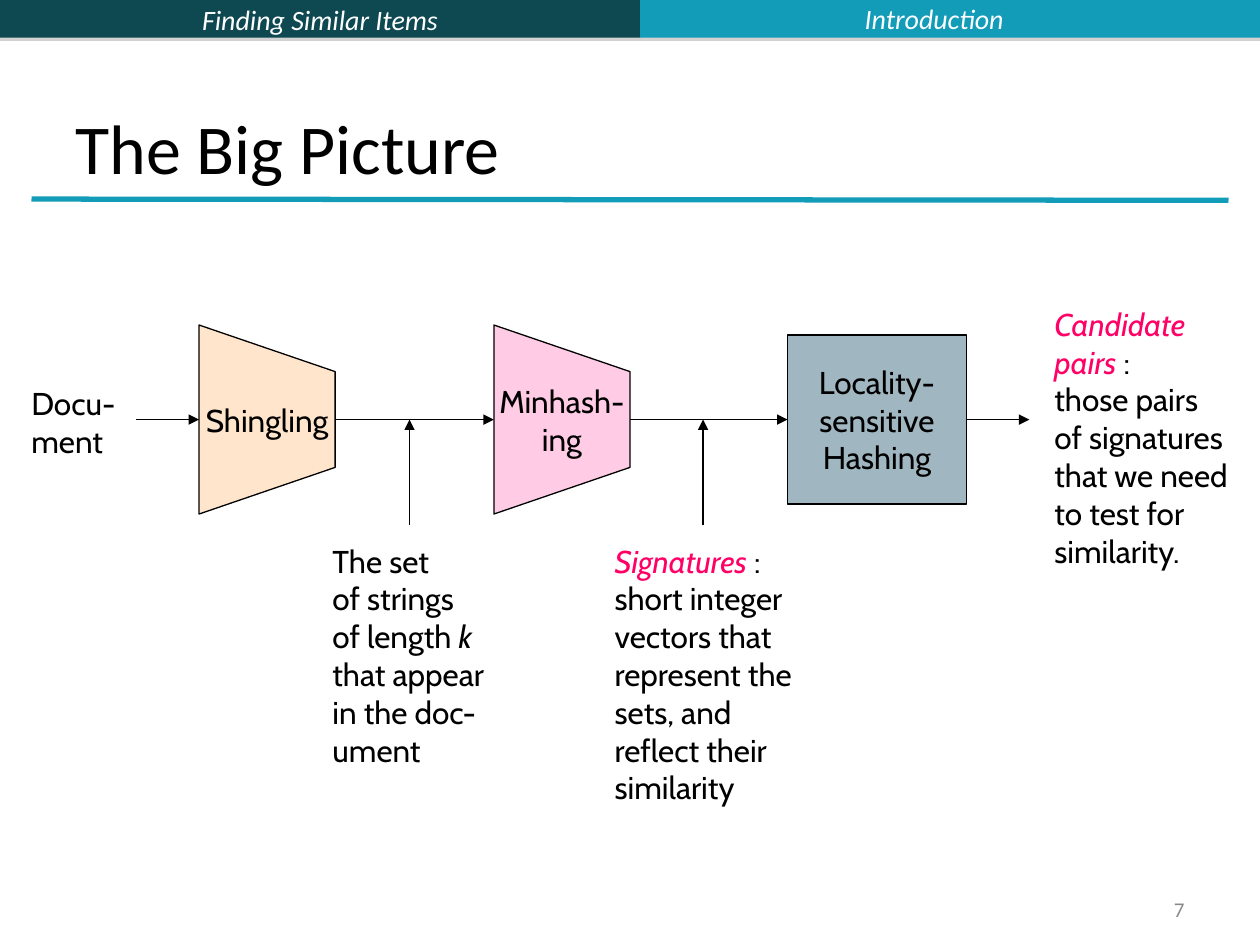
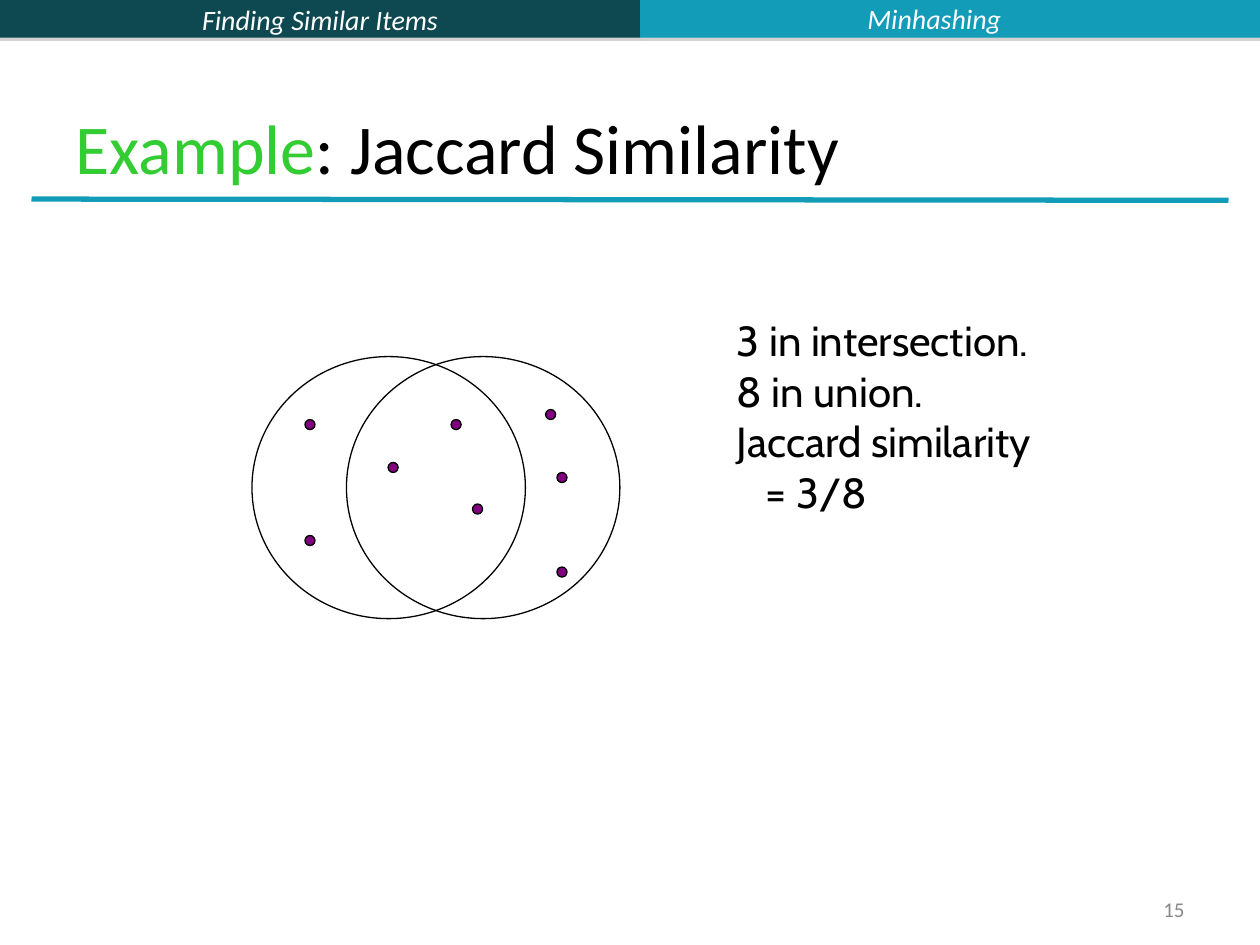
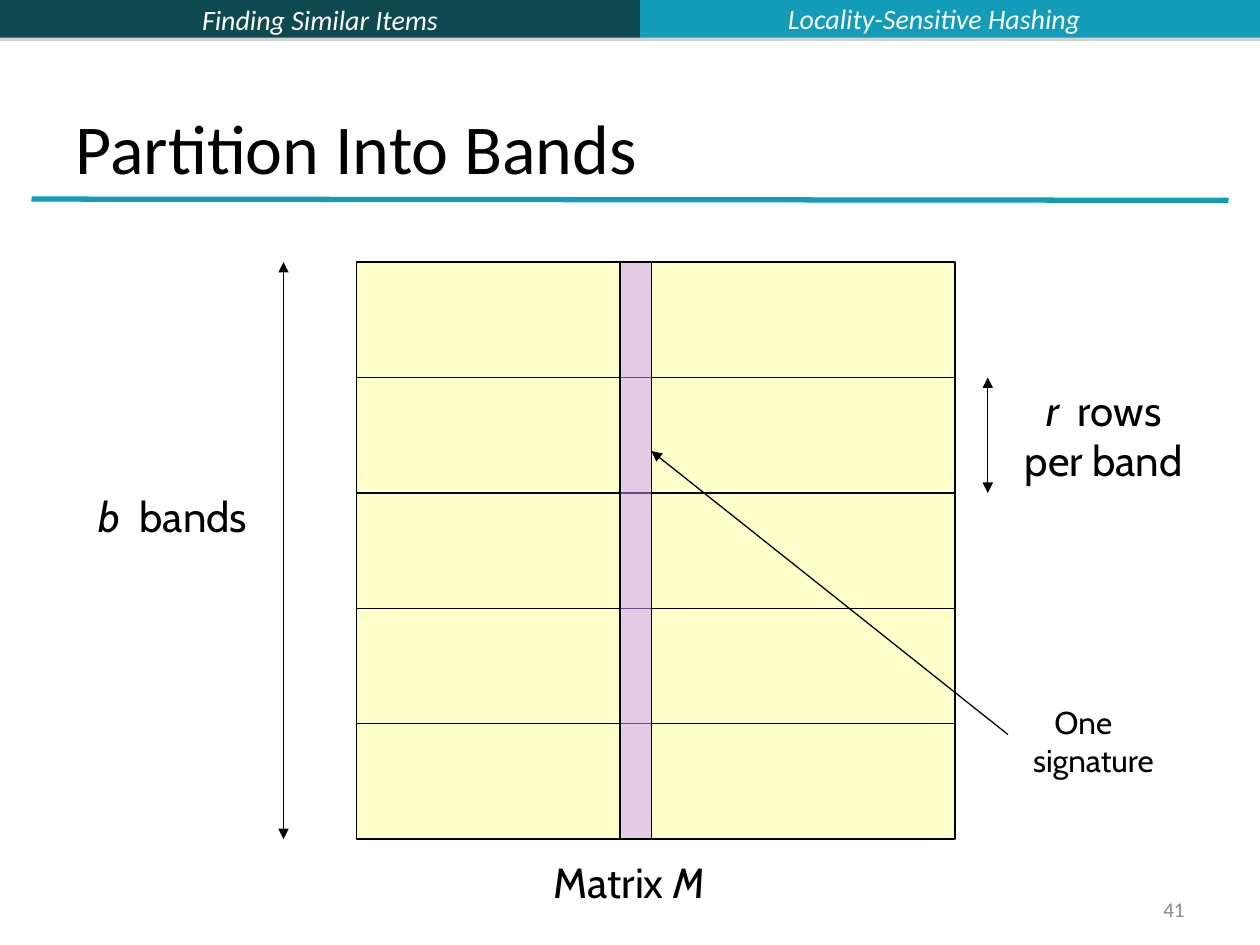
"""Build three slides on finding similar items: pipeline, Jaccard example, bands."""
from lxml.etree import SubElement
from pptx import Presentation
from pptx.dml.color import RGBColor
from pptx.enum.shapes import MSO_CONNECTOR, MSO_SHAPE
from pptx.enum.text import MSO_ANCHOR, MSO_AUTO_SIZE, PP_ALIGN
from pptx.oxml.ns import qn
from pptx.shapes.connector import Connector
from pptx.util import Inches, Pt

BLACK, DARK, TEAL, PINK = "000000", "0E4851", "139CB7", "FF0066"
GREEN, GRAY, PURPLE = "33CC33", "898989", "800080"
LEFT, CENTER, RIGHT = PP_ALIGN.LEFT, PP_ALIGN.CENTER, PP_ALIGN.RIGHT
BOTH_ENDS, END = ("a:headEnd", "a:tailEnd"), ("a:tailEnd",)


def paint(item, fill=None, line=BLACK, width=0.75, alpha=None, heads=()):
    properties = item._element.spPr
    if isinstance(item, Connector):
        item.line.color.rgb = RGBColor.from_string(line)
        SubElement(properties, qn("a:effectLst"))
    else:
        item.shadow.inherit = False
        item.fill.background()
        if fill:
            item.fill.solid()
            item.fill.fore_color.rgb = RGBColor.from_string(fill)
        if alpha:
            color = properties.find(qn("a:solidFill")).find(qn("a:srgbClr"))
            SubElement(color, qn("a:alpha")).set("val", str(alpha * 1000))
        if not line:
            item.line.fill.background()
            return
        item.line.color.rgb = RGBColor.from_string(line)
    item.line.width = Pt(width)
    for head in heads:
        SubElement(properties.find(qn("a:ln")), qn(head)).set("type", "triangle")


def write(frame, text, size=18, font="Cabin", align=LEFT, color=BLACK,
          accent=BLACK, slant=True, wrap=False):
    frame.word_wrap = wrap
    frame.text = text.replace("|", "")
    for para, line in zip(frame.paragraphs, text.split("\n")):
        para.text = ""
        para.alignment = align
        for index, part in enumerate(line.split("|")):
            if part:
                marked = index % 2 == 1
                span = para.add_run()
                span.text = part
                span.font.name = font
                span.font.size = Pt(size)
                span.font.italic = marked and slant
                span.font.color.rgb = RGBColor.from_string(accent if marked else color)


deck = Presentation()
deck.slide_width, deck.slide_height = Inches(10), Inches(7.5)

pages = []
for title, section, number in [
    ("The Big Picture", "Introduction", "7"),
    ("|Example|: Jaccard Similarity", "Minhashing", "15"),
    ("Partition Into Bands", "Locality-Sensitive Hashing", "41"),
]:
    page = deck.slides.add_slide(deck.slide_layouts[5])
    pages.append(page)
    for left, width, fill, label in [
        (0, 5.08, DARK, "|Finding Similar Items|"),
        (5.08, 4.92, TEAL, ""),
    ]:
        band = page.shapes.add_shape(
            MSO_SHAPE.RECTANGLE, Inches(left), 0, Inches(width), Inches(0.3))
        paint(band, fill, line=None)
        effects = band._element.spPr.find(qn("a:effectLst"))
        shadow = SubElement(effects, qn("a:outerShdw"), dist=str(Pt(1.8)), dir="5400000")
        shade = SubElement(shadow, qn("a:srgbClr"), val="808080")
        SubElement(shade, qn("a:alpha"), val="35000")
        if label:
            write(band.text_frame, label, 16, "Calibri", CENTER, accent="FFFFFF", wrap=True)
    rule = page.shapes.add_connector(
        MSO_CONNECTOR.STRAIGHT, Inches(0.25), Inches(1.58), Inches(9.75), Inches(1.59))
    paint(rule, line=TEAL, width=3)

    heading = page.shapes.title
    heading.left, heading.top = Inches(0.5), Inches(0.3)
    heading.width, heading.height = Inches(9), Inches(1.25)
    write(heading.text_frame, title, 40, "Calibri", accent=GREEN, slant=False, wrap=True)
    heading.text_frame.vertical_anchor = MSO_ANCHOR.BOTTOM
    heading.text_frame.auto_size = MSO_AUTO_SIZE.NONE

    for text, left, top, width, height, size, align, color in [
        (number, 7.17, 7.08, 2.33, 0.27, 12, RIGHT, GRAY),
        (f"|{section}|", 4.83, -0.04, 5.17, 0.37, 16, CENTER, "FBFCFF"),
    ]:
        box = page.shapes.add_textbox(
            Inches(left), Inches(top), Inches(width), Inches(height))
        write(box.text_frame, text, size, "Calibri", align, color, accent=color, wrap=True)
        box.text_frame.vertical_anchor = MSO_ANCHOR.MIDDLE

pipeline, jaccard, bands = pages

axis = 3.33
for left, fill, label in [(1.58, "FFCC99", "Shingling"), (3.92, "FF99CC", "Minhash-\ning")]:
    right = left + 1.08
    outline = pipeline.shapes.build_freeform(Inches(left), Inches(axis + 0.75))
    outline.add_line_segments([
        (Inches(right), Inches(axis + 0.38)),
        (Inches(right), Inches(axis - 0.38)),
        (Inches(left), Inches(axis - 0.75)),
    ])
    stage = outline.convert_to_shape()
    paint(stage, fill, alpha=50)
    write(stage.text_frame, label, align=CENTER)
    stage.text_frame.vertical_anchor = MSO_ANCHOR.MIDDLE
    stage.text_frame.margin_left = stage.text_frame.margin_right = Inches(0.05)

hashing = pipeline.shapes.add_shape(
    MSO_SHAPE.RECTANGLE, Inches(6.25), Inches(axis - 0.67), Inches(1.42), Inches(1.34))
paint(hashing, "437085", alpha=50)
write(hashing.text_frame, "Locality-\nsensitive\nHashing", align=CENTER)

flow = []
for x1, y1, x2 in [
    (1.08, axis, 1.58), (2.67, axis, 3.92), (5, axis, 6.25), (7.67, axis, 8.17),
    (3.25, 4.17, 3.25), (5.58, 4.17, 5.58),
]:
    arrow = pipeline.shapes.add_connector(
        MSO_CONNECTOR.STRAIGHT, Inches(x1), Inches(y1), Inches(x2), Inches(axis))
    paint(arrow, heads=END)
    flow.append(arrow)
flow[2].end_connect(hashing, 1)
flow[3].begin_connect(hashing, 3)

notes = {}
for page, name, text, left, top, width, height, size, align in [
    (pipeline, "input", "Docu-\nment", 0.15, 3, 0.89, 0.7, 18, LEFT),
    (pipeline, "shingles",
     "The set\nof strings\nof length |k|\nthat appear\nin the doc-\nument",
     2.54, 4.25, 1.57, 1.9, 18, LEFT),
    (pipeline, "signatures",
     "|Signatures |:\nshort integer\nvectors that\nrepresent the\nsets, and\n"
     "reflect their\nsimilarity",
     4.78, 4.25, 1.8, 2.2, 18, LEFT),
    (pipeline, "candidates",
     "|Candidate|\n|pairs |:\nthose pairs\nof signatures\nthat we need\n"
     "to test for\nsimilarity.",
     8.27, 2.37, 1.74, 2.2, 18, LEFT),
    (jaccard, "result", "3 in intersection.\n8 in union.\nJaccard similarity\n= 3/8",
     5.75, 2.45, 2.84, 1.7, 24, LEFT),
    (bands, "matrix", "Matrix |M|", 4.21, 6.75, 1.57, 0.5, 24, CENTER),
    (bands, "rows", "|r | rows\nper band", 7.95, 3, 1.62, 0.9, 24, CENTER),
    (bands, "bands", "|b |\u0020bands", 0.61, 3.84, 1.53, 0.5, 24, CENTER),
    (bands, "signature", "One\nsignature", 8.1, 5.53, 1.32, 0.7, 18, LEFT),
]:
    box = page.shapes.add_textbox(Inches(left), Inches(top), Inches(width), Inches(height))
    accent = PINK if name in ("signatures", "candidates") else BLACK
    write(box.text_frame, text, size, align=align, accent=accent)
    box.text_frame.auto_size = MSO_AUTO_SIZE.SHAPE_TO_FIT_TEXT
    notes[name] = box
for name, index, indent in [("result", 3, 0.23), ("signature", 0, 0.17)]:
    para = notes[name].text_frame.paragraphs[index]
    para._p.get_or_add_pPr().set("marL", str(Inches(indent)))

for left in (2.75, 2):
    circle = jaccard.shapes.add_shape(
        MSO_SHAPE.OVAL, Inches(left), Inches(2.83), Inches(2.17), Inches(2.08))
    paint(circle)
for left, top in [
    (2.42, 3.33), (2.42, 4.25), (3.08, 3.67), (3.75, 4),
    (3.58, 3.33), (4.42, 3.75), (4.42, 4.5), (4.33, 3.25),
]:
    element = jaccard.shapes.add_shape(
        MSO_SHAPE.OVAL, Inches(left), Inches(top), Inches(0.08), Inches(0.08))
    paint(element, PURPLE)

matrix_left, matrix_top, matrix_width, matrix_height = 2.83, 2.08, 4.75, 4.58
matrix_right, matrix_bottom = matrix_left + matrix_width, matrix_top + matrix_height
band_height = matrix_height / 5
matrix = bands.shapes.add_shape(
    MSO_SHAPE.RECTANGLE, Inches(matrix_left), Inches(matrix_top),
    Inches(matrix_width), Inches(matrix_height))
paint(matrix, "FFFF99", alpha=50)
for index in range(1, 5):
    y = Inches(matrix_top + index * band_height)
    divider = bands.shapes.add_connector(
        MSO_CONNECTOR.STRAIGHT, Inches(matrix_left), y, Inches(matrix_right), y)
    paint(divider)
column = bands.shapes.add_shape(
    MSO_SHAPE.RECTANGLE, Inches(4.92), Inches(matrix_top), Inches(0.25), Inches(matrix_height))
paint(column, "CC99FF", alpha=50)
for x1, y1, x2, y2, heads in [
    (7.84, matrix_top + band_height, 7.84, matrix_top + 2 * band_height, BOTH_ENDS),
    (2.25, matrix_top, 2.25, matrix_bottom, BOTH_ENDS),
    (8, 5.83, 5.17, 3.58, END),
]:
    arrow = bands.shapes.add_connector(
        MSO_CONNECTOR.STRAIGHT, Inches(x1), Inches(y1), Inches(x2), Inches(y2))
    paint(arrow, heads=heads)

deck.save("out.pptx")
